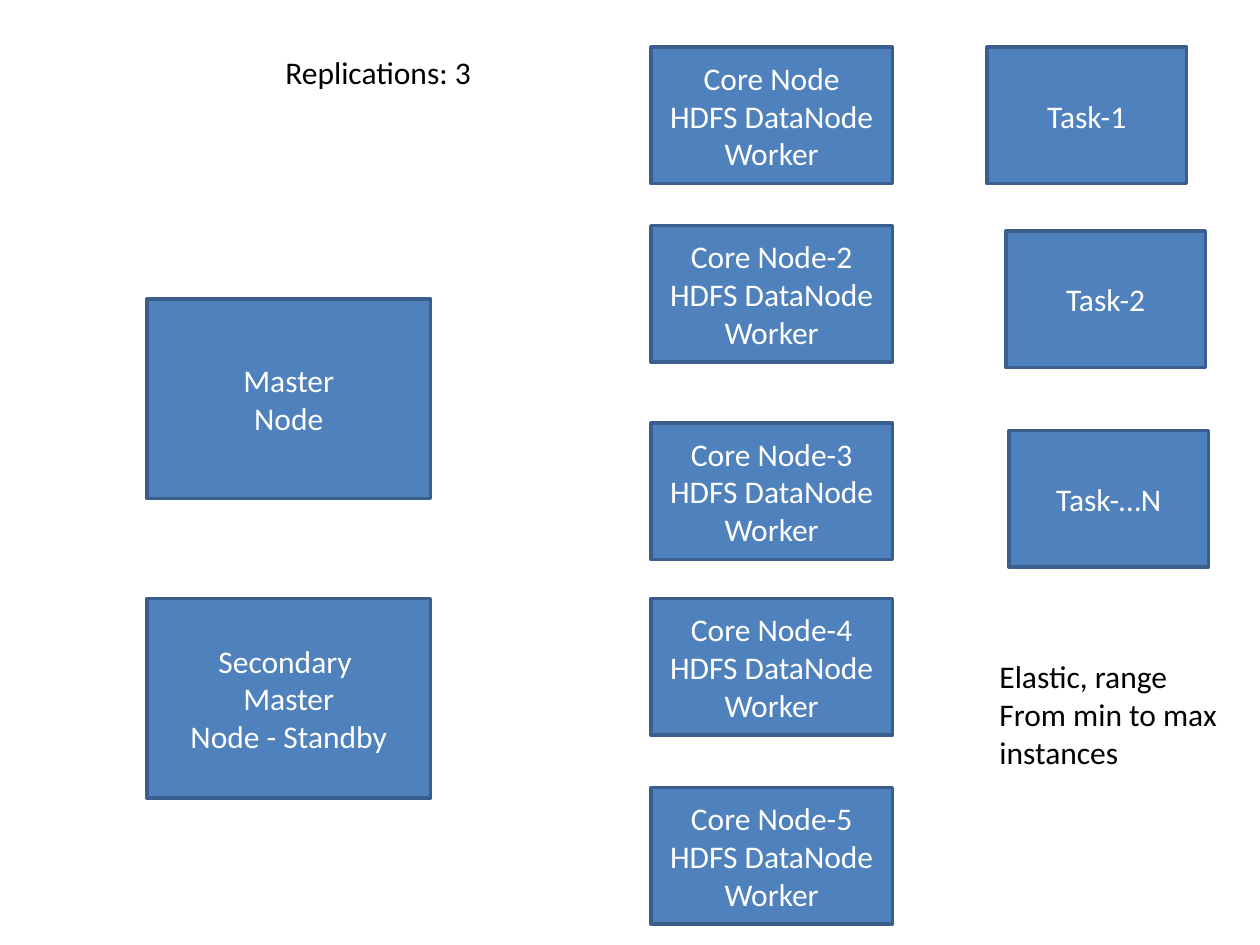
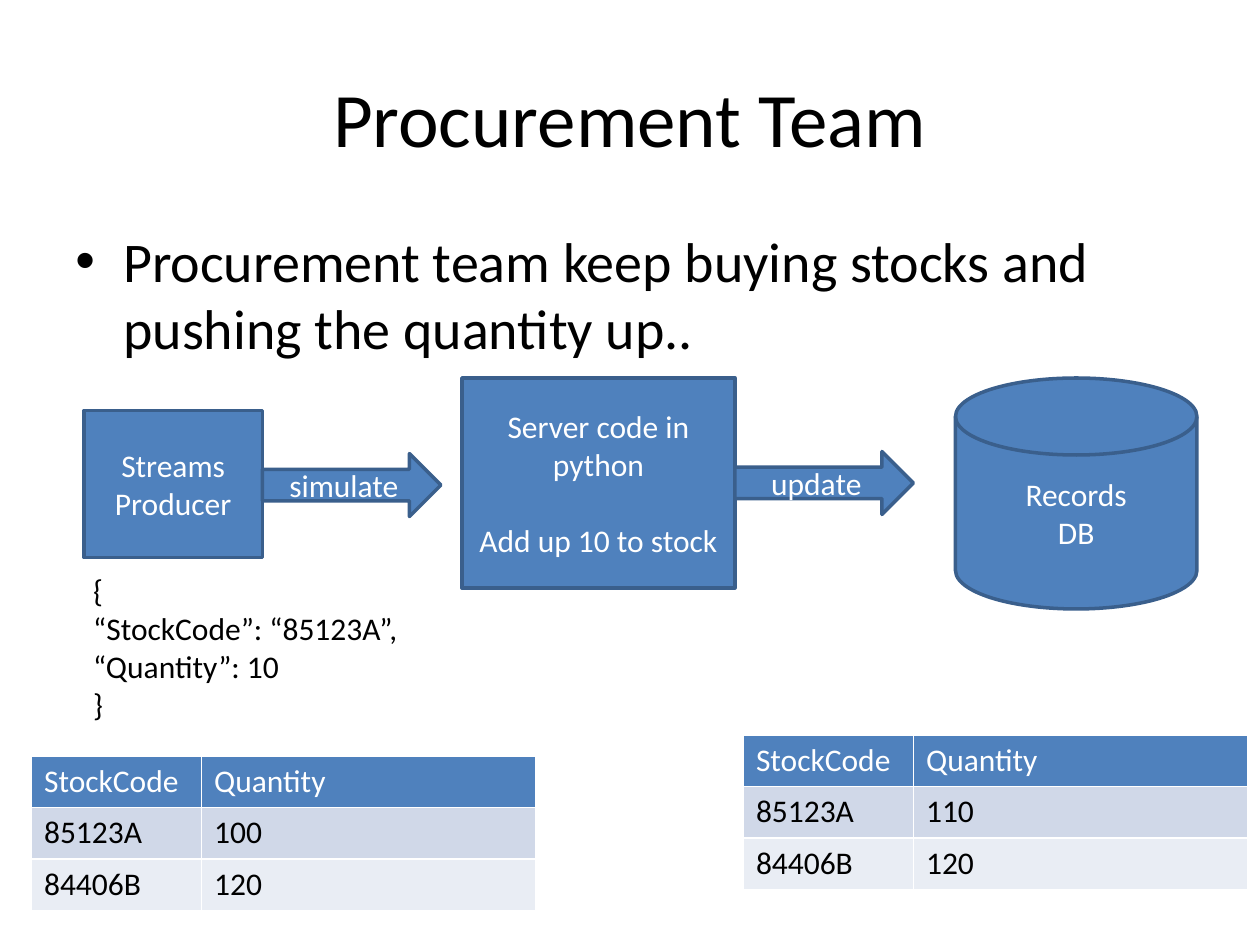
from lxml.etree import SubElement
from pptx import Presentation
from pptx.dml.color import RGBColor
from pptx.enum.shapes import MSO_SHAPE
from pptx.enum.text import MSO_ANCHOR, PP_ALIGN
from pptx.oxml.ns import qn
from pptx.util import Inches, Pt

BLUE = RGBColor(0x4F, 0x81, 0xBD)
EDGE = RGBColor(0x3A, 0x5F, 0x8C)
BAND_DARK = RGBColor(0xD0, 0xD8, 0xE8)
BAND_LIGHT = RGBColor(0xE9, 0xED, 0xF4)
WHITE = RGBColor(0xFF, 0xFF, 0xFF)
BLACK = RGBColor(0x00, 0x00, 0x00)

GRID_CELL = Inches(1) / 12  # the slide is 120 columns by 90 rows
TITLE_ONLY, BLANK = 5, 6


def grid(*cells):
    return [round(cell * GRID_CELL) for cell in cells]


def write(frame, lines, size=18, color=BLACK, align=PP_ALIGN.LEFT, **frame_format):
    """Fill a text frame with one paragraph per line."""
    for name, value in frame_format.items():
        setattr(frame, name, value)
    frame.text = "\n".join(lines)
    font_format = {"name": "Calibri", "size": Pt(size), "bold": False}
    for para in frame.paragraphs:
        para.alignment = align
        for span in para.runs:
            span.font.color.rgb = color
            for name, value in font_format.items():
                setattr(span.font, name, value)


def add_block(page, place, *lines, kind=MSO_SHAPE.RECTANGLE):
    block = page.shapes.add_shape(kind, *grid(*place))
    block.shadow.inherit = False
    block.fill.solid()
    block.fill.fore_color.rgb = BLUE
    block.line.color.rgb = EDGE
    block.line.width = Pt(2)
    write(block.text_frame, lines, color=WHITE, align=PP_ALIGN.CENTER,
          vertical_anchor=MSO_ANCHOR.MIDDLE, word_wrap=True)
    return block


def add_label(page, place, *lines, size=18, wrap=False):
    box = page.shapes.add_textbox(*grid(*place))
    write(box.text_frame, lines, size=size, word_wrap=wrap)
    return box


def add_bullet(page, place, line):
    para = add_label(page, place, line, size=32, wrap=True).text_frame.paragraphs[0]
    para.space_before = Pt(6)
    indent = Inches(0.38)
    properties = para._p.get_or_add_pPr()
    properties.set("marL", str(indent))
    properties.set("indent", str(-indent))
    SubElement(properties, qn("a:buFont"), typeface="Arial")
    SubElement(properties, qn("a:buChar"), char="•")


def add_stock_table(page, left, top, stock):
    rows = [("StockCode", "Quantity"), *stock]
    widths, height = grid(16.2, 31.8), 4.9
    place = grid(left, top, 48, height * len(rows))
    table = page.shapes.add_table(len(rows), len(widths), *place).table
    for column, width in zip(table.columns, widths):
        column.width = width
    fills = [BLUE, BAND_DARK, BAND_LIGHT]
    for row_number, (values, fill) in enumerate(zip(rows, fills)):
        for column_number, value in enumerate(values):
            cell = table.cell(row_number, column_number)
            cell.fill.solid()
            cell.fill.fore_color.rgb = fill
            write(cell.text_frame, [value], color=BLACK if row_number else WHITE)


def set_title(page, text):
    title = page.shapes.title
    title.left, title.top, title.width, title.height = grid(6, 3.6, 108, 15)
    write(title.text_frame, [text], size=44, align=PP_ALIGN.CENTER,
          vertical_anchor=MSO_ANCHOR.MIDDLE)


def build_cluster(page):
    masters = [("Master", "Node"), ("Secondary ", "Master", "Node - Standby")]
    for top, lines in zip((28.5, 57), masters):
        add_block(page, (14, top, 27, 19), *lines)
    for number, top in enumerate((4.5, 21.5, 40.3, 57, 75), start=1):
        name = f"Core Node-{number}" if number > 1 else "Core Node"
        add_block(page, (62, top, 23, 13), name, "HDFS DataNode", "Worker")
    for left, top, suffix in ((94, 4.5, "1"), (95.8, 22, "2"), (96.1, 41, "…N")):
        add_block(page, (left, top, 19, 13), f"Task-{suffix}")
    add_label(page, (26, 4.5, 20.3, 4.8), "Replications: 3")
    add_label(page, (94, 62, 23.4, 12.1),
              "Elastic, range", "From min to max", "instances")


def build_procurement(page):
    set_title(page, "Procurement Team")
    add_bullet(page, (6, 21, 108, 19),
               "Procurement team keep buying stocks and pushing the quantity up..")
    add_block(page, (8, 39.1, 17, 14), "Streams", "Producer")
    code = add_block(page, (44, 36, 26, 20),
                     "Server code in python", "Add up 10 to stock")
    code.text_frame.paragraphs[1].space_before = Pt(22)
    add_block(page, (91, 36, 23, 22), "Records", "DB",
              kind=MSO_SHAPE.FLOWCHART_MAGNETIC_DISK)
    for left, top, action in ((25, 43.2, "simulate"), (70, 43, "update")):
        add_block(page, (left, top, 17, 6), action, kind=MSO_SHAPE.RIGHT_ARROW)
    add_label(page, (7.7, 53.8, 31.7, 15.7),
              "{", "“StockCode”: “85123A”,", "“Quantity”: 10", "}")
    for left, top, quantity in ((3, 72, "100"), (70.8, 70, "110")):
        add_stock_table(page, left, top, [("85123A", quantity), ("84406B", "120")])


def main():
    deck = Presentation()
    deck.slide_width, deck.slide_height = grid(120, 90)
    for layout, build in ((BLANK, build_cluster), (TITLE_ONLY, build_procurement)):
        build(deck.slides.add_slide(deck.slide_layouts[layout]))
    deck.save("out.pptx")


if __name__ == "__main__":
    main()
